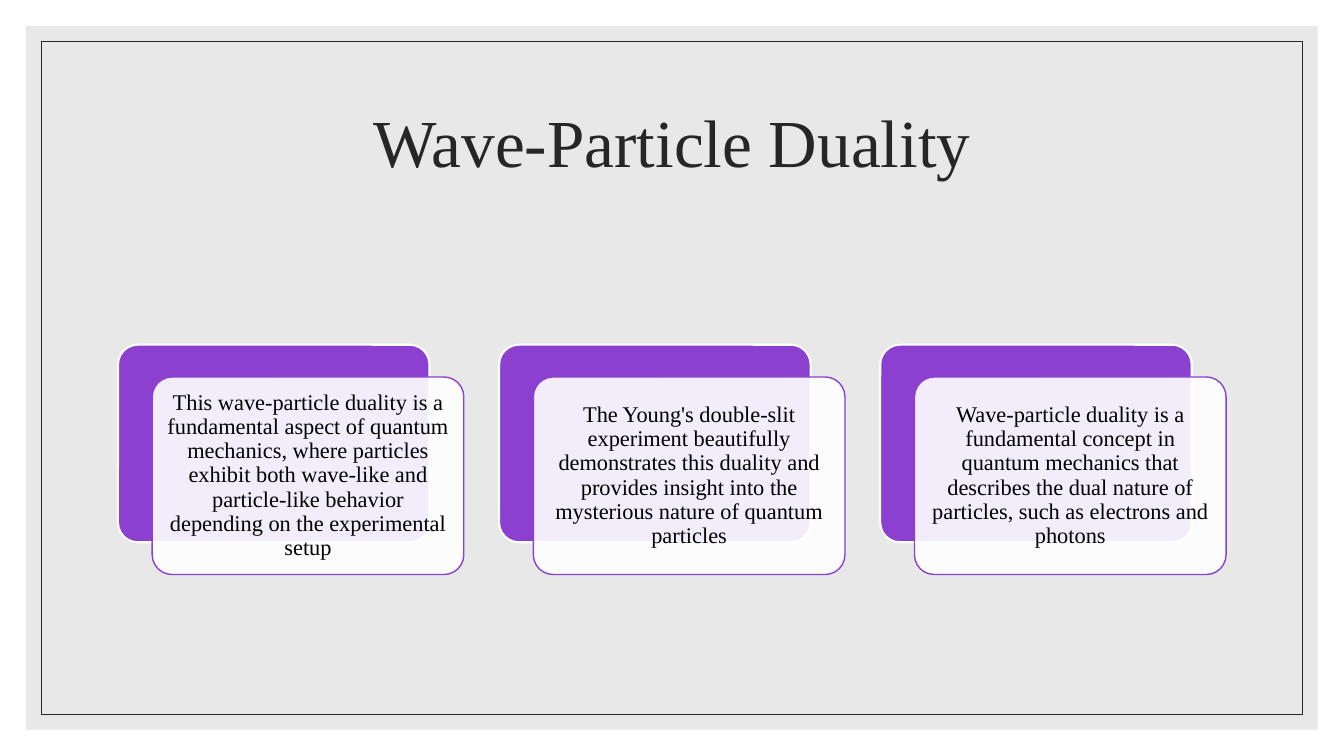
from lxml import etree
from pptx import Presentation
from pptx.dml.color import RGBColor
from pptx.enum.shapes import MSO_SHAPE
from pptx.enum.text import MSO_ANCHOR, MSO_AUTO_SIZE, PP_ALIGN
from pptx.oxml.ns import qn
from pptx.util import Inches, Pt

RECT, ROUND = MSO_SHAPE.RECTANGLE, MSO_SHAPE.ROUNDED_RECTANGLE
MIDDLE, CENTER = MSO_ANCHOR.MIDDLE, PP_ALIGN.CENTER
FONT = "Times New Roman"
WHITE, GREY, DARK, PURPLE, BLACK = "FFFFFF", "D9D9D9", "262626", "8B40D0", "000000"

TITLE = "Wave-Particle Duality"
POINTS = [
    "This wave-particle duality is a fundamental aspect of quantum mechanics, "
    "where particles exhibit both wave-like and particle-like behavior "
    "depending on the experimental setup",
    "The Young's double-slit experiment beautifully demonstrates this duality "
    "and provides insight into the mysterious nature of quantum particles",
    "Wave-particle duality is a fundamental concept in quantum mechanics that "
    "describes the dual nature of particles, such as electrons and photons",
]
PAGE_W, PAGE_H = 13.33, 7.5
LEFT, TOP, STEP = 1.17, 3.42, 3.78
CARD_W, CARD_H = 3.09, 1.96
SHIFT_X, SHIFT_Y = 0.34, 0.32


def color(code):
    return RGBColor.from_string(code)


def add_box(kind, x, y, w, h, fill=None, alpha=100, line=None, width=1):
    """Add a shape; alpha is the opacity of its fill in percent."""
    box = slide.shapes.add_shape(kind, Inches(x), Inches(y), Inches(w), Inches(h))
    box.shadow.inherit = False
    if kind == ROUND:
        box.adjustments[0] = 0.1
    if fill:
        box.fill.solid()
        box.fill.fore_color.rgb = color(fill)
        if alpha < 100:
            tone = box.fill._xPr.find(qn("a:solidFill"))[0]
            etree.SubElement(tone, qn("a:alpha"), val=str(alpha * 1000))
    else:
        box.fill.background()
    if line:
        box.line.color.rgb = color(line)
        box.line.width = Pt(width)
    else:
        box.line.fill.background()
    return box


def set_text(shape, text, size, tint):
    frame = shape.text_frame
    frame.text = text
    frame.word_wrap = True
    frame.auto_size = MSO_AUTO_SIZE.NONE
    frame.vertical_anchor = MIDDLE
    par = frame.paragraphs[0]
    par.alignment = CENTER
    par.line_spacing = 0.9
    par.font.name = FONT
    par.font.size = Pt(size)
    par.font.color.rgb = color(tint)
    return frame


prs = Presentation()
prs.slide_width, prs.slide_height = Inches(PAGE_W), Inches(PAGE_H)
slide = prs.slides.add_slide(prs.slide_layouts[5])

for inset, style in [(0.26, {"fill": GREY, "alpha": 60}),
                     (0.41, {"line": DARK, "width": 0.5})]:
    add_box(RECT, inset, inset, PAGE_W - 2 * inset, PAGE_H - 2 * inset, **style)

title = slide.shapes.title
title.left, title.top = Inches(1.17), Inches(0.7)
title.width, title.height = Inches(11), Inches(1.5)
set_text(title, TITLE, 48, DARK)
slide.shapes._spTree.append(title._element)  # bring in front of the panel

for i, point in enumerate(POINTS):
    x = LEFT + i * STEP
    add_box(ROUND, x, TOP, CARD_W, CARD_H, PURPLE, line=WHITE, width=1.5)
    card = add_box(ROUND, x + SHIFT_X, TOP + SHIFT_Y, CARD_W, CARD_H,
                   WHITE, alpha=90, line=PURPLE)
    frame = set_text(card, point, 16, BLACK)
    frame.margin_left = frame.margin_right = Inches(0.07)
    frame.margin_top = frame.margin_bottom = Inches(0.07)

prs.save("out.pptx")
